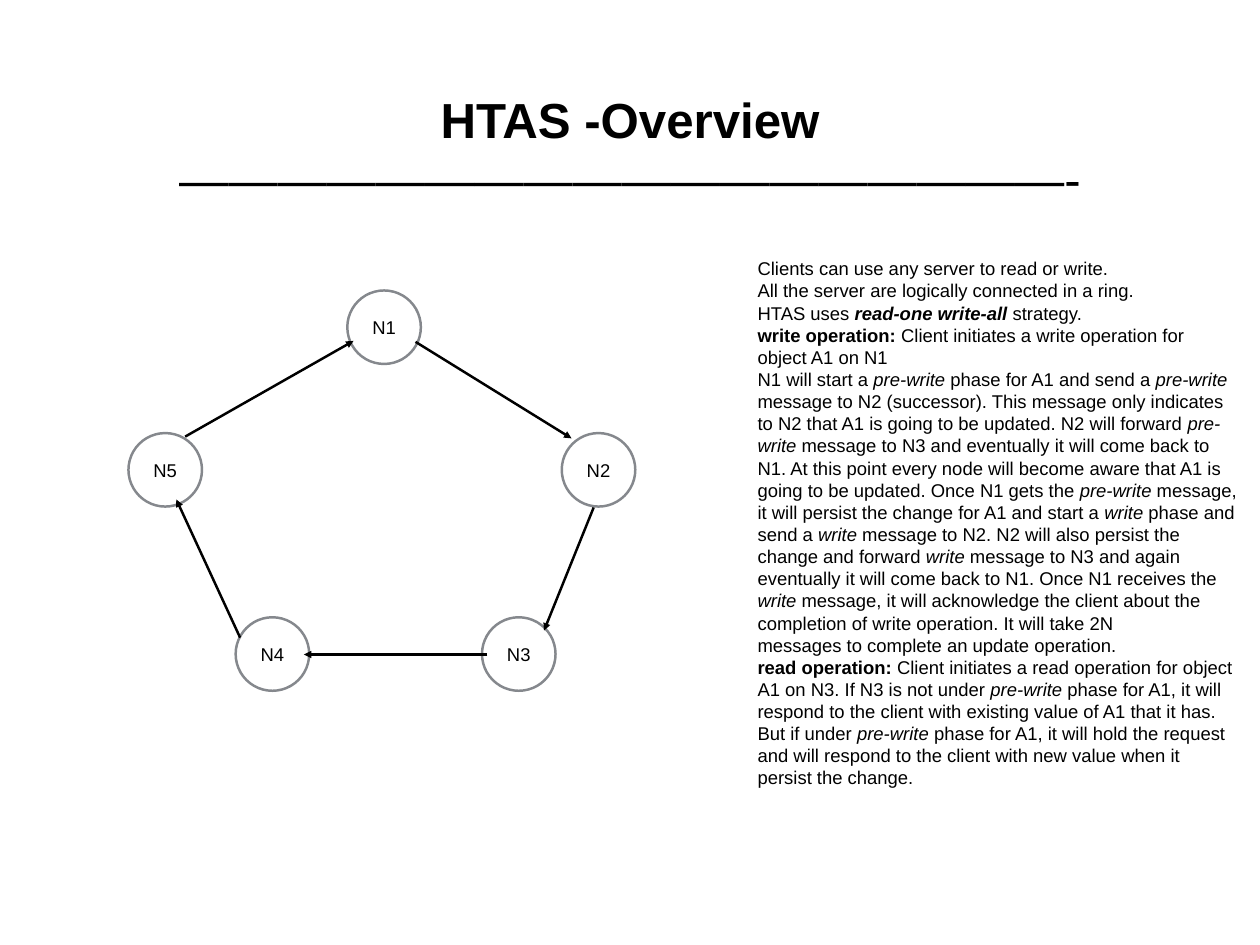
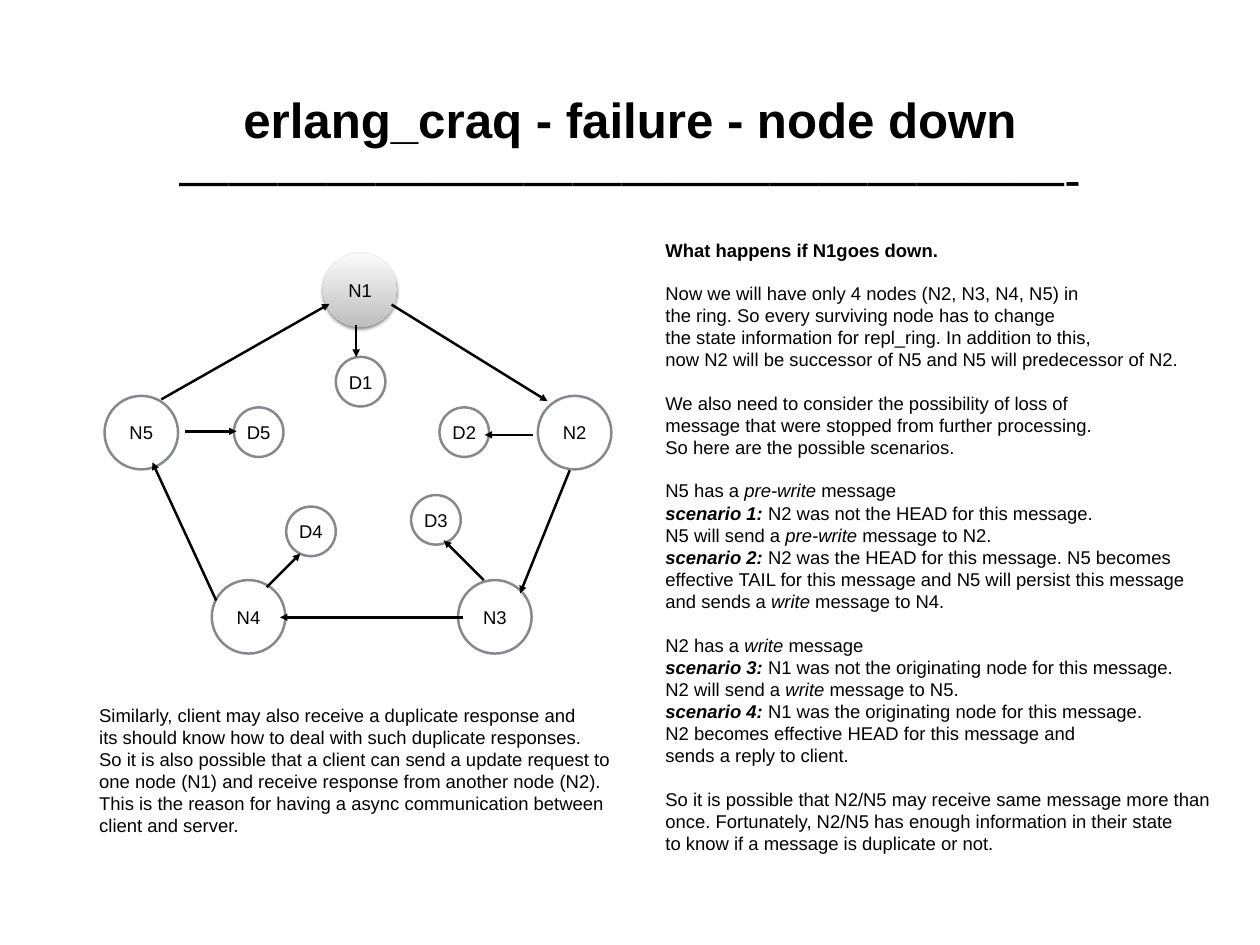
from dataclasses import dataclass

from lxml import etree
from pptx import Presentation
from pptx.dml.color import RGBColor
from pptx.enum.shapes import MSO_CONNECTOR, MSO_SHAPE
from pptx.enum.text import MSO_ANCHOR, PP_ALIGN
from pptx.oxml.ns import qn
from pptx.util import Inches, Pt

ELLIPSE = MSO_SHAPE.OVAL
STRAIGHT = MSO_CONNECTOR.STRAIGHT
MIDDLE = MSO_ANCHOR.MIDDLE
LEFT, CENTER = PP_ALIGN.LEFT, PP_ALIGN.CENTER

FONT = "Arial"
BLACK, GRAY = "000000", "85888D"
GRADIENT_TOP, GRADIENT_BOTTOM = "FBFBFB", "BEBEBE"
BODY_SIZE, TITLE_SIZE = 15, 40
BLOCK_GAP = 17.25
LINE_WIDTH = 2
INSET = 0.06
NODE_SIZE, DATA_SIZE = 0.83, 0.56
TITLE_RULE = "—" * 18 + "-"


@dataclass(frozen=True)
class Circle:
    label: str
    left: float
    top: float
    size: float = NODE_SIZE
    failed: bool = False


@dataclass(frozen=True)
class Arrow:
    start_x: float
    start_y: float
    end_x: float
    end_y: float


# Ring positions are relative to the top left corner of the ring.
RING_NODES = [
    Circle("N1", 2.47, 0),
    Circle("N2", 4.89, 1.61),
    Circle("N3", 3.99, 3.69),
    Circle("N4", 1.21, 3.69),
    Circle("N5", 0, 1.61),
]
RING_ARROWS = [
    Arrow(3.24, 0.58, 5, 1.67),
    Arrow(5.25, 2.45, 4.69, 3.84),
    Arrow(4.05, 4.11, 1.98, 4.11),
    Arrow(1.26, 3.92, 0.54, 2.36),
    Arrow(0.64, 1.65, 2.54, 0.57),
]
DATA_STORES = [
    Circle("D1", 2.61, 1.17, DATA_SIZE),
    Circle("D2", 3.78, 1.74, DATA_SIZE),
    Circle("D3", 3.46, 2.73, DATA_SIZE),
    Circle("D4", 2.05, 2.86, DATA_SIZE),
    Circle("D5", 1.46, 1.74, DATA_SIZE),
]
DATA_ARROWS = [
    Arrow(2.84, 0.81, 2.84, 1.17),
    Arrow(4.84, 2.05, 4.29, 2.05),
    Arrow(4.28, 3.69, 3.83, 3.24),
    Arrow(1.83, 3.77, 2.21, 3.39),
    Arrow(0.91, 2.01, 1.49, 2.01),
]

# In all texts # switches bold and * switches italic.
OVERVIEW_TEXT = [[
    "Clients can use any server to read or write.",
    "All the server are logically connected in a ring.",
    "HTAS uses #*read-one write-all *#strategy.",
    "#write operation: #Client initiates a write operation for",
    "object A1 on N1",
    "N1 will start a *pre-write *phase for A1 and send a *pre-write*",
    "message to N2 (successor). This message only indicates to N2 that A1 is going to be "
    "updated. N2 will forward *pre-write* message to N3 and eventually it will come back "
    "to N1. At this point every node will become aware that A1 is going to be updated. "
    "Once N1 gets the *pre-write *message, it will persist the change for A1 and start a "
    "*write *phase and send a *write *message to N2. N2 will also persist the change and "
    "forward *write *message to N3 and again eventually it will come back to N1. Once N1 "
    "receives the *write *message, it will acknowledge the client about the completion of "
    "write operation. It will take 2N",
    "messages to complete an update operation.",
    "#read operation: #Client initiates a read operation for object A1 on N3. If N3 is not "
    "under *pre-write *phase for A1, it will respond to the client with existing value of "
    "A1 that it has. But if under *pre-write *phase for A1, it will hold the request and "
    "will respond to the client with new value when it persist the change.",
]]
FAILURE_TEXT = [
    ["#What happens if N1goes down.#"],
    [
        "Now we will have only 4 nodes (N2, N3, N4, N5) in",
        "the ring. So every surviving node has to change",
        "the state information for repl_ring. In addition to this,",
        "now N2 will be successor of N5 and N5 will predecessor of N2.",
    ],
    [
        "We also need to consider the possibility of loss of",
        "message that were stopped from further processing.",
        "So here are the possible scenarios.",
    ],
    [
        "N5 has a *pre-write *message",
        "#*scenario 1: *#N2 was not the HEAD for this message.",
        "N5 will send a *pre-write *message to N2.",
        "#*scenario 2: *#N2 was the HEAD for this message. N5 becomes",
        "effective TAIL for this message and N5 will persist this message",
        "and sends a *write *message to N4.",
    ],
    [
        "N2 has a *write *message",
        "#*scenario 3: *#N1 was not the originating node for this message.",
        "N2 will send a *write *message to N5.",
        "#*scenario 4: *#N1 was the originating node for this message.",
        "N2 becomes effective HEAD for this message and",
        "sends a reply to client.",
    ],
    [
        "So it is possible that N2/N5 may receive same message more than",
        "once. Fortunately, N2/N5 has enough information in their state",
        "to know if a message is duplicate or not.",
    ],
]
CLIENT_TEXT = [[
    "Similarly, client may also receive a duplicate response and",
    "its should know how to deal with such duplicate responses.",
    "So it is also possible that a client can send a update request to",
    "one node (N1) and receive response from another node (N2).",
    "This is the reason for having a async communication between",
    "client and server.",
]]


def color(value: str) -> RGBColor:
    return RGBColor.from_string(value)


def add_runs(paragraph, line: str, size: float) -> None:
    """Split a line at its # and * marks into bold and italic runs."""
    for bold_index, bold_part in enumerate(line.split("#")):
        for italic_index, text in enumerate(bold_part.split("*")):
            if text:
                run = paragraph.add_run()
                run.text = text
                run.font.name = FONT
                run.font.size = Pt(size)
                run.font.color.rgb = color(BLACK)
                run.font.bold = bold_index % 2 == 1
                run.font.italic = italic_index % 2 == 1


def write_text(shape, blocks: list[list[str]], *, size: float = BODY_SIZE,
               align=LEFT, inset: float = INSET, wrap: bool = True) -> None:
    """Write blocks of lines, with a gap before each block but the first."""
    frame = shape.text_frame
    frame.word_wrap = wrap
    frame.vertical_anchor = MIDDLE
    frame.margin_left = frame.margin_right = Inches(inset)
    frame.margin_top = frame.margin_bottom = Inches(inset)
    paragraph = frame.paragraphs[0]
    for block_index, block in enumerate(blocks):
        for line_index, line in enumerate(block):
            if block_index or line_index:
                paragraph = frame.add_paragraph()
            if block_index and not line_index:
                paragraph.space_before = Pt(BLOCK_GAP)
            paragraph.alignment = align
            add_runs(paragraph, line, size)


def add_text(slide, left: float, top: float, width: float, height: float,
             blocks: list[list[str]], **text_format) -> None:
    box = slide.shapes.add_textbox(Inches(left), Inches(top), Inches(width), Inches(height))
    write_text(box, blocks, **text_format)


def style_failed(shape) -> None:
    """Give a failed node a gray gradient and a soft shadow instead of an outline."""
    shape.line.fill.background()
    shape.fill.gradient()
    shape.fill.gradient_angle = 270
    for stop, value in zip(shape.fill.gradient_stops, (GRADIENT_TOP, GRADIENT_BOTTOM)):
        stop.color.rgb = color(value)
    effects = shape._element.spPr.find(qn("a:effectLst"))
    shadow = etree.SubElement(effects, qn("a:outerShdw"), blurRad=str(Pt(3)),
                              dist=str(Pt(2)), dir="5400000", rotWithShape="0")
    shadow_color = etree.SubElement(shadow, qn("a:srgbClr"), val=BLACK)
    etree.SubElement(shadow_color, qn("a:alpha"), val="50000")


def add_circle(slide, circle: Circle, left: float, top: float) -> None:
    shape = slide.shapes.add_shape(
        ELLIPSE, Inches(left + circle.left), Inches(top + circle.top),
        Inches(circle.size), Inches(circle.size))
    shape.shadow.inherit = False
    if circle.failed:
        style_failed(shape)
    else:
        shape.fill.background()
        shape.line.color.rgb = color(GRAY)
        shape.line.width = Pt(LINE_WIDTH)
    write_text(shape, [[circle.label]], align=CENTER, inset=0, wrap=False)


def add_arrow(slide, arrow: Arrow, left: float, top: float) -> None:
    connector = slide.shapes.add_connector(
        STRAIGHT, Inches(left + arrow.start_x), Inches(top + arrow.start_y),
        Inches(left + arrow.end_x), Inches(top + arrow.end_y))
    connector.line.color.rgb = color(BLACK)
    connector.line.width = Pt(LINE_WIDTH)
    properties = connector._element.spPr
    etree.SubElement(properties.find(qn("a:ln")), qn("a:tailEnd"), type="triangle")
    etree.SubElement(properties, qn("a:effectLst"))


def add_ring(slide, left: float, top: float, circles: list[Circle],
             arrows: list[Arrow]) -> None:
    for circle in circles:
        add_circle(slide, circle, left, top)
    for arrow in arrows:
        add_arrow(slide, arrow, left, top)


def add_titled_slide(presentation, title: str):
    slide = presentation.slides.add_slide(presentation.slide_layouts[6])
    add_text(slide, 1.04, 0.49, 12.14, 2.36, [[f"#{title}#", TITLE_RULE]],
             size=TITLE_SIZE, align=CENTER)
    return slide


def build_overview(presentation) -> None:
    slide = add_titled_slide(presentation, "HTAS -Overview")
    add_ring(slide, 1.45, 3.28, RING_NODES, RING_ARROWS)
    add_text(slide, 8.49, 2.85, 5.53, 6.11, OVERVIEW_TEXT)


def build_node_failure(presentation) -> None:
    slide = add_titled_slide(presentation, "erlang_craq - failure - node down")
    first, *survivors = RING_NODES
    failed = Circle(first.label, first.left, first.top, failed=True)
    add_ring(slide, 1.18, 2.86, [failed, *survivors, *DATA_STORES],
             RING_ARROWS + DATA_ARROWS)
    add_text(slide, 7.45, 2.49, 6.42, 7.36, FAILURE_TEXT)
    add_text(slide, 1.06, 7.89, 6.08, 1.61, CLIENT_TEXT)


def main() -> None:
    presentation = Presentation()
    presentation.slide_width = Inches(14.22)
    presentation.slide_height = Inches(10.67)
    build_overview(presentation)
    build_node_failure(presentation)
    presentation.save("out.pptx")


if __name__ == "__main__":
    main()
